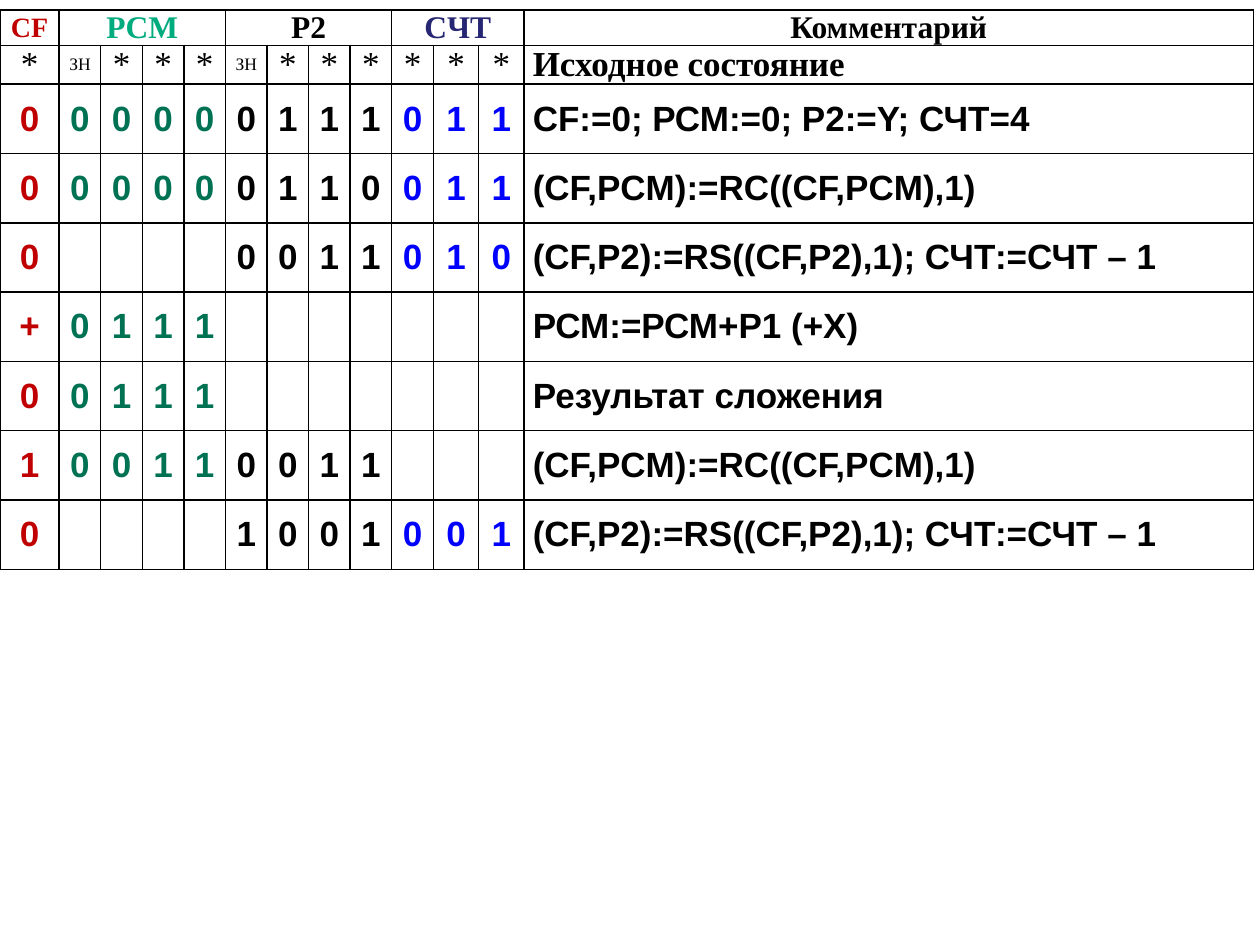
from lxml import etree
from pptx import Presentation
from pptx.dml.color import RGBColor
from pptx.enum.text import MSO_ANCHOR, PP_ALIGN
from pptx.oxml.ns import qn
from pptx.util import Inches, Pt

CENTER, LEFT = PP_ALIGN.CENTER, PP_ALIGN.LEFT
MIDDLE = MSO_ANCHOR.MIDDLE
SERIF, SANS = "Times New Roman", "Arial"
BLACK, RED, GREEN, BLUE = "000000", "C00000", "007254", "0000FF"

COLUMN_WIDTHS = [0.47] + [0.33] * 9 + [0.36] * 2 + [5.79]
ROW_HEIGHTS = [0.28] * 2 + [0.55] * 7
COMMENT_COLUMN = len(COLUMN_WIDTHS) - 1
SIGN_COLUMNS = (1, 5)
BIT_COLORS = [RED] + [GREEN] * 4 + [BLACK] * 4 + [BLUE] * 3

# Header: text, columns spanned, size, colour
HEADERS = [
    ("CF", 1, 16, RED),
    ("PCM", 4, 18, "00AB7E"),
    ("P2", 4, 18, BLACK),
    ("CЧТ", 3, 18, "262673"),
    ("Комментарий", 1, 18, BLACK),
]

# Register bits (CF, PCM, P2, counter; "_" is an empty cell) and comment
STEPS = [
    ("0 0000 0111 011", "CF:=0; РСМ:=0; Р2:=Y; СЧТ=4"),
    ("0 0000 0110 011", "(CF,PCM):=RС((CF,PCM),1)"),
    ("0 ____ 0011 010", "(CF,P2):=RS((CF,P2),1); СЧТ:=СЧТ – 1"),
    ("+ 0111 ____ ___", "РСМ:=РСМ+Р1 (+X)"),
    ("0 0111 ____ ___", "Результат сложения"),
    ("1 0011 0011 ___", "(CF,PCM):=RС((CF,PCM),1)"),
    ("0 ____ 1001 001", "(CF,P2):=RS((CF,P2),1); СЧТ:=СЧТ – 1"),
]


def rgb(color):
    """Return the colour for a hex string."""
    return RGBColor.from_string(color)


def format_cell(cell):
    """Give a cell thin black borders, no fill and tight margins."""
    properties = cell._tc.get_or_add_tcPr()
    for side in ("a:lnL", "a:lnR", "a:lnT", "a:lnB"):
        line = etree.SubElement(properties, qn(side), w=str(Pt(1)))
        fill = etree.SubElement(line, qn("a:solidFill"))
        etree.SubElement(fill, qn("a:srgbClr"), val=BLACK)
    cell.fill.background()
    cell.margin_left = cell.margin_right = Inches(0.07)
    cell.margin_top = cell.margin_bottom = 0
    cell.vertical_anchor = MIDDLE


def write_cell(cell, text, size=20, color=BLACK, font=SANS, bold=True, align=CENTER):
    """Write one formatted paragraph into a cell."""
    cell.text = text
    paragraph = cell.text_frame.paragraphs[0]
    paragraph.alignment = align
    paragraph.space_after = Pt(3)
    paragraph.font.name = font
    paragraph.font.size = Pt(size)
    paragraph.font.bold = bold
    paragraph.font.color.rgb = rgb(color)


def add_grid(page):
    """Add the empty bordered table."""
    frame = page.shapes.add_table(
        len(ROW_HEIGHTS), len(COLUMN_WIDTHS), 0, Inches(0.08),
        Inches(sum(COLUMN_WIDTHS)), Inches(sum(ROW_HEIGHTS)))
    table = frame.table
    table.first_row = table.horz_banding = False
    for column, width in zip(table.columns, COLUMN_WIDTHS):
        column.width = Inches(width)
    for row, height in zip(table.rows, ROW_HEIGHTS):
        row.height = Inches(height)
    for cell in table.iter_cells():
        format_cell(cell)
    return table


def write_headers(table):
    """Write the register names over their merged columns."""
    column = 0
    for text, span, size, color in HEADERS:
        cell = table.cell(0, column)
        if span > 1:
            cell.merge(table.cell(0, column + span - 1))
        write_cell(cell, text, size, color, SERIF)
        column += span


def write_initial_state(table):
    """Write the row of unknown bits with its sign columns."""
    for column in range(COMMENT_COLUMN):
        text, size = ("ЗН", 10) if column in SIGN_COLUMNS else ("*", 20)
        write_cell(table.cell(1, column), text, size, font=SERIF, bold=False)
    write_cell(table.cell(1, COMMENT_COLUMN), "Исходное состояние",
               font=SERIF, align=LEFT)


def write_steps(table):
    """Write the bits and the comment of each multiplication step."""
    for row, (bits, comment) in enumerate(STEPS, start=2):
        for column, bit in enumerate(bits.replace(" ", "")):
            if bit != "_":
                write_cell(table.cell(row, column), bit, color=BIT_COLORS[column])
        write_cell(table.cell(row, COMMENT_COLUMN), comment, align=LEFT)


def main():
    """Build the deck and save it."""
    deck = Presentation()
    deck.slide_width, deck.slide_height = Inches(10), Inches(7.5)
    page = deck.slides.add_slide(deck.slide_layouts[6])
    table = add_grid(page)
    write_headers(table)
    write_initial_state(table)
    write_steps(table)
    deck.save("out.pptx")


if __name__ == "__main__":
    main()
